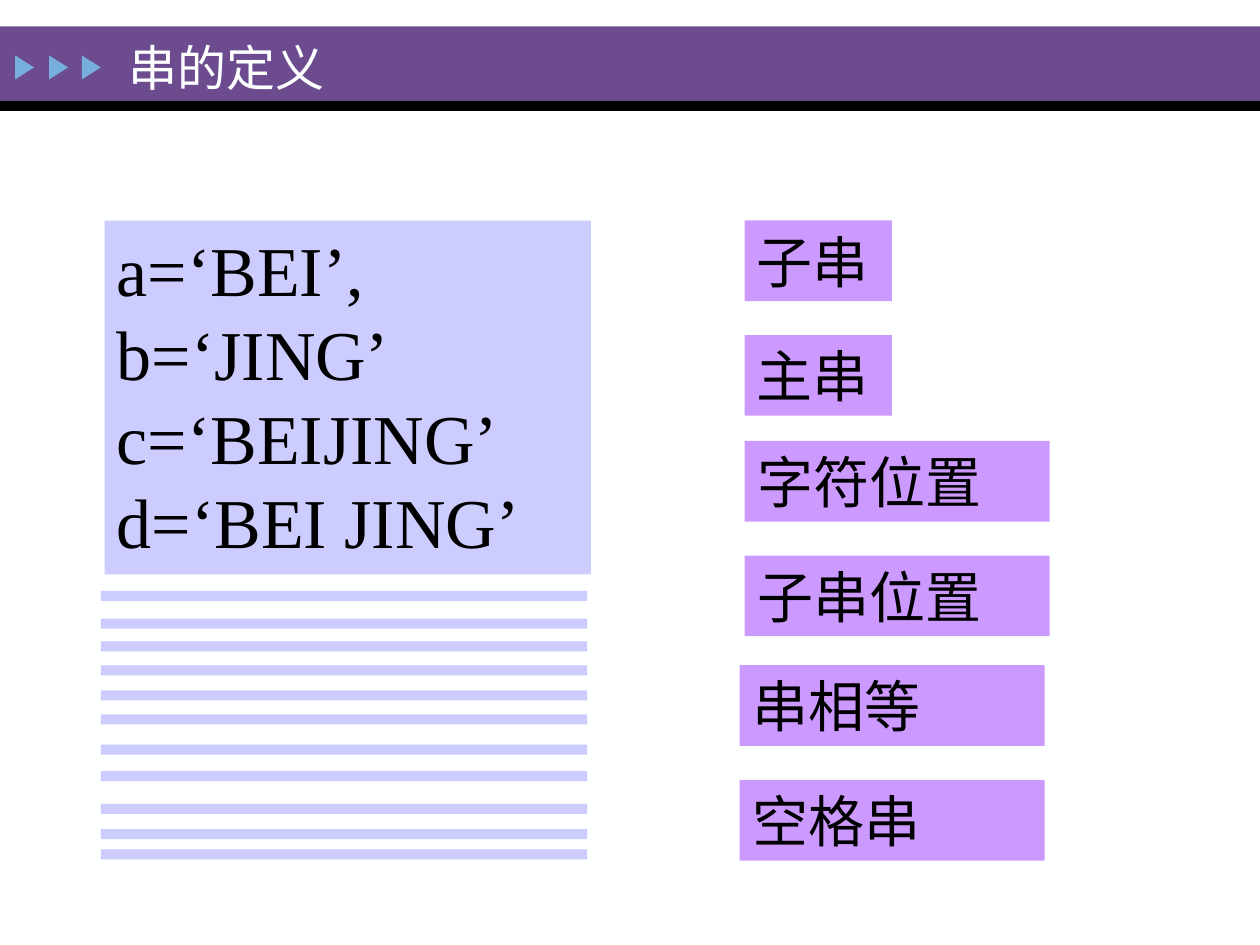
from pptx import Presentation
from pptx.dml.color import RGBColor
from pptx.enum.shapes import MSO_SHAPE
from pptx.enum.text import MSO_ANCHOR, PP_ALIGN
from pptx.util import Inches, Pt

COLORS = {
    "background": "FEFFFF",
    "band": "6C4C8F",
    "rule": "000000",
    "arrow": "76AEDD",
    "example": "CCCCFF",
    "term": "CC99FF",
    "text": "000000",
    "title": "FEFFFF",
}
EXAMPLES = ["a=‘BEI’,", "b=‘JING’", "c=‘BEIJING’", "d=‘BEI JING’"]
TERMS = [
    ("子串", 5.91, 1.75, 1.17),
    ("主串", 5.91, 2.66, 1.17),
    ("字符位置", 5.91, 3.5, 2.42),
    ("子串位置", 5.91, 4.41, 2.42),
    ("串相等", 5.87, 5.28, 2.42),
    ("空格串", 5.87, 6.19, 2.42),
]
ARROW_LEFTS = [0.1, 0.37, 0.63]
STRIPE_TOPS = [4.69, 4.91, 5.09, 5.28, 5.48, 5.67, 5.91, 6.12, 6.38, 6.58, 6.74]


def color(role):
    return RGBColor.from_string(COLORS[role])


def apply_format(target, values):
    for attribute, value in values.items():
        setattr(target, attribute, value)


def add_block(slide, role, left, top, width, height, preset=MSO_SHAPE.RECTANGLE):
    block = slide.shapes.add_shape(
        preset, Inches(left), Inches(top), Inches(width), Inches(height)
    )
    block.shadow.inherit = False
    block.fill.solid()
    block.fill.fore_color.rgb = color(role)
    block.line.fill.background()
    return block


def write_lines(holder, lines, size, role="text", anchor=MSO_ANCHOR.MIDDLE, spacing=None):
    frame = holder.text_frame
    apply_format(frame, {"word_wrap": True, "vertical_anchor": anchor})
    frame.text = "\n".join(lines)
    for line in frame.paragraphs:
        apply_format(line, {"alignment": PP_ALIGN.LEFT, "line_spacing": spacing})
        apply_format(line.font, {"name": "Times New Roman", "size": Pt(size)})
        line.font.color.rgb = color(role)


def add_header(slide, heading):
    add_block(slide, "band", 0, 0.21, 10, 0.59)
    add_block(slide, "rule", 0, 0.8, 10, 0.08)
    for left in ARROW_LEFTS:
        arrow = add_block(
            slide, "arrow", left, 0.46, 0.19, 0.15, MSO_SHAPE.ISOSCELES_TRIANGLE
        )
        arrow.rotation = 90
    title = slide.shapes.title
    apply_format(title, {
        "left": Inches(0.92),
        "top": Inches(0.28),
        "width": Inches(7),
        "height": Inches(0.5),
    })
    write_lines(title, [heading], 28, "title")
    slide.shapes.element.append(title.element)


def add_examples(slide):
    examples = add_block(slide, "example", 0.83, 1.75, 3.86, 2.81)
    write_lines(examples, EXAMPLES, 40, anchor=MSO_ANCHOR.TOP, spacing=Pt(48))
    for top in STRIPE_TOPS:
        add_block(slide, "example", 0.8, top, 3.86, 0.08)


def add_terms(slide):
    for term, left, top, width in TERMS:
        label = add_block(slide, "term", left, top, width, 0.64)
        write_lines(label, [term], 32)


def main():
    deck = Presentation()
    apply_format(deck, {"slide_width": Inches(10), "slide_height": Inches(7.5)})
    slide = deck.slides.add_slide(deck.slide_layouts[5])
    slide.background.fill.solid()
    slide.background.fill.fore_color.rgb = color("background")
    add_header(slide, "串的定义")
    add_examples(slide)
    add_terms(slide)
    deck.save("out.pptx")


if __name__ == "__main__":
    main()
